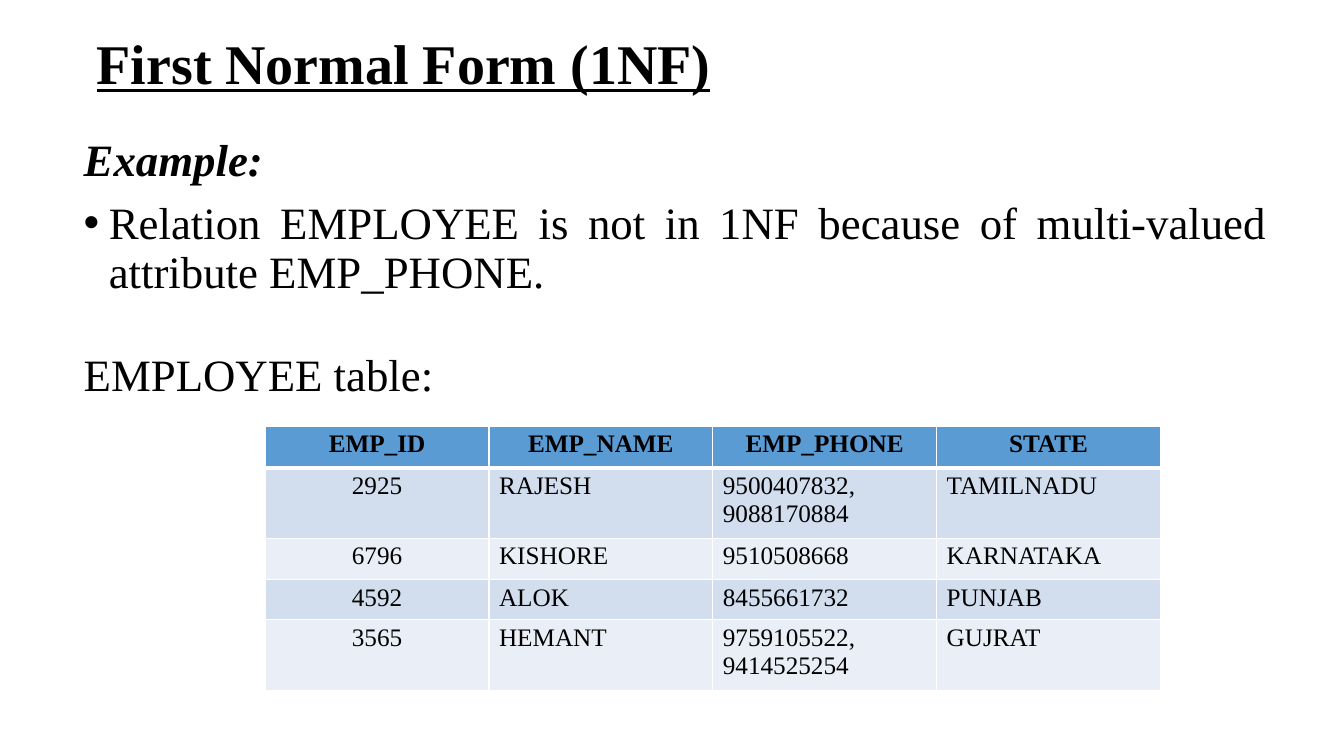
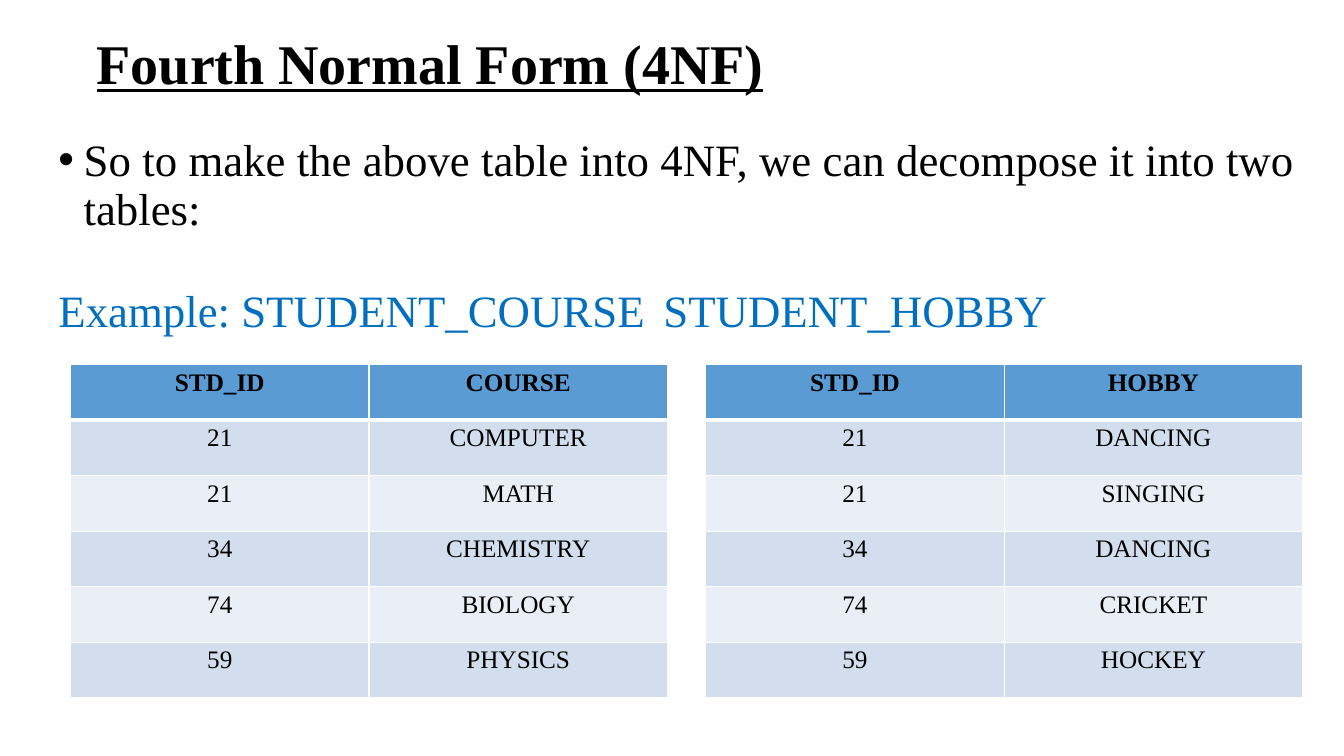
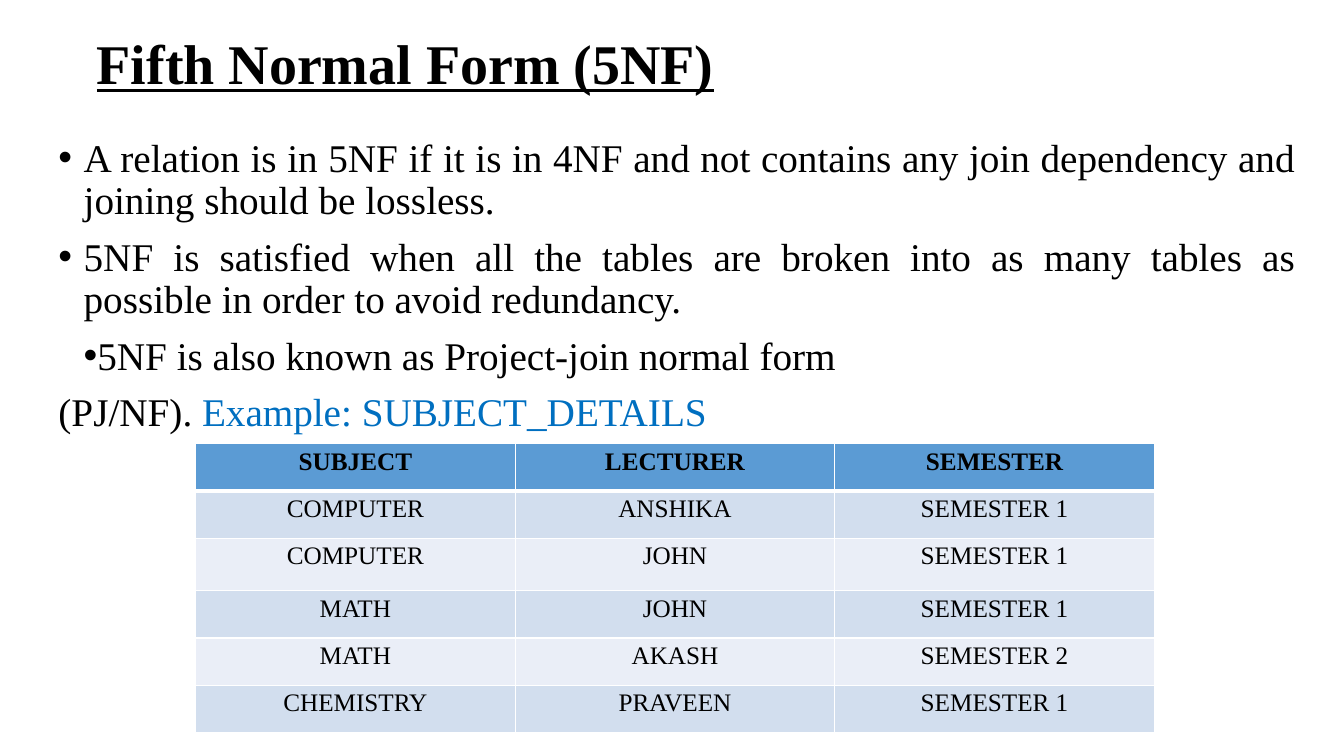
from dataclasses import dataclass

from lxml import etree
from pptx import Presentation
from pptx.dml.color import RGBColor
from pptx.enum.text import MSO_ANCHOR, MSO_AUTO_SIZE, PP_ALIGN
from pptx.oxml.ns import qn
from pptx.util import Inches, Pt

LEFT, CENTER, JUSTIFY = PP_ALIGN.LEFT, PP_ALIGN.CENTER, PP_ALIGN.JUSTIFY
TOP = MSO_ANCHOR.TOP
NO_AUTOFIT = MSO_AUTO_SIZE.NONE

FONT = "Times New Roman"
BLACK, BLUE, WHITE = "000000", "006FC0", "FFFFFF"
HEADER_FILL, ODD_FILL, EVEN_FILL = "5B9BD4", "D2DEEE", "EAEEF7"
TITLE_BOX = (0.95, 0.03, 11.43, 1.17)


@dataclass
class Run:
    text: str
    color: str = BLACK
    bold: bool = False
    italic: bool = False


@dataclass
class Para:
    runs: list[Run]
    before: float = 0
    line: float | None = None
    bullet: bool = False
    margin: float = 0.01
    indent: float = 0
    right: float = 0
    tab: float | None = None


@dataclass
class Body:
    box: tuple[float, float, float, float]
    top_inset: float
    size: int
    paras: list[Para]


@dataclass
class Grid:
    left: float
    top: float
    col_width: float
    row_heights: list[float]
    rows: list[list[str]]
    left_cols: tuple[int, ...] = ()


def rgb(color: str) -> RGBColor:
    return RGBColor.from_string(color)


def place(sp, box: tuple[float, float, float, float]) -> None:
    sp.left, sp.top, sp.width, sp.height = (Inches(v) for v in box)


def set_frame(tf, top_inset: float) -> None:
    tf.margin_left = tf.margin_right = tf.margin_bottom = 0
    tf.margin_top = Inches(top_inset)
    tf.vertical_anchor = TOP
    tf.word_wrap = True
    tf.auto_size = NO_AUTOFIT


def add_run(p, run: Run, size: int, underline: bool = False) -> None:
    r = p.add_run()
    r.text = run.text
    font = r.font
    font.name, font.size = FONT, Pt(size)
    font.bold, font.italic, font.underline = run.bold, run.italic, underline
    font.color.rgb = rgb(run.color)


def format_para(p, para: Para) -> None:
    pPr = p._p.get_or_add_pPr()
    pPr.set("marL", str(Inches(para.margin)))
    pPr.set("marR", str(Inches(para.right)))
    pPr.set("indent", str(Inches(para.indent)))
    if para.bullet:
        etree.SubElement(pPr, qn("a:buChar"), char="•")
    else:
        etree.SubElement(pPr, qn("a:buNone"))
    if para.tab:
        tabs = etree.SubElement(pPr, qn("a:tabLst"))
        etree.SubElement(tabs, qn("a:tab"), pos=str(Inches(para.tab)), algn="l")
    p.space_before = Pt(para.before)
    if para.line:
        p.line_spacing = Pt(para.line)
    p.alignment = JUSTIFY if para.bullet and not para.right else LEFT


def fill_body(sp, body: Body) -> None:
    place(sp, body.box)
    tf = sp.text_frame
    set_frame(tf, body.top_inset)
    for i, para in enumerate(body.paras):
        p = tf.add_paragraph() if i else tf.paragraphs[0]
        format_para(p, para)
        for run in para.runs:
            add_run(p, run, body.size)


def set_borders(cell, top: float, bottom: float) -> None:
    tcPr = cell._tc.get_or_add_tcPr()
    for side, width in (("L", 1), ("R", 1), ("T", top), ("B", bottom)):
        ln = etree.SubElement(tcPr, qn(f"a:ln{side}"), w=str(Pt(width)))
        fill = etree.SubElement(ln, qn("a:solidFill"))
        etree.SubElement(fill, qn("a:srgbClr"), val=WHITE)


def fill_cell(cell, text: str, row: int, align) -> None:
    set_borders(cell, 3 if row == 1 else 1, 3 if row == 0 else 1)
    cell.fill.solid()
    band = ODD_FILL if row % 2 else EVEN_FILL
    cell.fill.fore_color.rgb = rgb(band if row else HEADER_FILL)
    cell.margin_left = Inches(0.1 if align == LEFT else 0)
    cell.margin_right = cell.margin_bottom = 0
    cell.margin_top = Inches(0.04)
    cell.vertical_anchor = TOP
    tf = cell.text_frame
    for i, line in enumerate(text.split("\n")):
        p = tf.add_paragraph() if i else tf.paragraphs[0]
        p.alignment = align
        add_run(p, Run(line, bold=row == 0), 18)


def add_grid(s, grid: Grid) -> None:
    cols = len(grid.rows[0])
    table = s.shapes.add_table(
        len(grid.rows), cols, Inches(grid.left), Inches(grid.top),
        Inches(grid.col_width * cols), Inches(sum(grid.row_heights))).table
    for col in table.columns:
        col.width = Inches(grid.col_width)
    for i, (height, texts) in enumerate(zip(grid.row_heights, grid.rows)):
        table.rows[i].height = Inches(height)
        for j, text in enumerate(texts):
            align = LEFT if i and j in grid.left_cols else CENTER
            fill_cell(table.cell(i, j), text, i, align)


def add_slide(prs, layout, title: str, body: Body, grids: list[Grid]) -> None:
    s = prs.slides.add_slide(layout)
    p = s.shapes.title.text_frame.paragraphs[0]
    format_para(p, Para([]))
    add_run(p, Run(title, bold=True), 40, underline=True)
    fill_body(s.placeholders[1], body)
    for grid in grids:
        add_grid(s, grid)


def bullet(text: str, line: float, before: float = 0) -> Para:
    return Para([Run(text)], before, line, True, 0.26, -0.25)


def student_grid(left: float, heading: str, values: list[str]) -> Grid:
    ids = ["21", "21", "34", "74", "59"]
    rows = [["STD_ID", heading], *([i, v] for i, v in zip(ids, values))]
    return Grid(left, 3.62, 2.96, [0.55] * 6, rows)


def main() -> None:
    prs = Presentation()
    prs.slide_width, prs.slide_height = Inches(13.33), Inches(7.5)
    layout = prs.slide_layouts[1]
    place(layout.placeholders[0], TITLE_BOX)
    set_frame(layout.placeholders[0].text_frame, 0.25)

    add_slide(
        prs, layout, "First Normal Form (1NF)",
        Body((0.82, 1.21, 11.75, 2.77), 0.1, 32, [
            Para([Run("Example:", bold=True, italic=True)]),
            bullet("Relation EMPLOYEE is not in 1NF because of multi-valued "
                   "attribute EMP_PHONE.", 34.6, 10.4),
            Para([Run("EMPLOYEE table:")], 35.1),
        ]),
        [Grid(2.63, 4.23, 2.22, [0.41, 0.7, 0.41, 0.4, 0.7], [
            ["EMP_ID", "EMP_NAME", "EMP_PHONE", "STATE"],
            ["2925", "RAJESH", "9500407832,\n9088170884", "TAMILNADU"],
            ["6796", "KISHORE", "9510508668", "KARNATAKA"],
            ["4592", "ALOK", "8455661732", "PUNJAB"],
            ["3565", "HEMANT", "9759105522,\n9414525254", "GUJRAT"],
        ], left_cols=(1, 2, 3))])

    add_slide(
        prs, layout, "Fourth Normal Form (4NF)",
        Body((0.57, 1.29, 12.28, 2.07), 0.07, 32, [
            bullet("So to make the above table into 4NF, we can decompose it "
                   "into two tables:", 34.6),
            Para([Run("Example: STUDENT_COURSE\tSTUDENT_HOBBY", BLUE)],
                 35, tab=7.01),
        ]),
        [student_grid(0.7, "COURSE", ["COMPUTER", "MATH", "CHEMISTRY",
                                      "BIOLOGY", "PHYSICS"]),
         student_grid(7, "HOBBY", ["DANCING", "SINGING", "DANCING",
                                   "CRICKET", "HOCKEY"])])

    add_slide(
        prs, layout, "Fifth Normal Form (5NF)",
        Body((0.57, 1.3, 12.28, 3.01), 0.07, 28, [
            bullet("A relation is in 5NF if it is in 4NF and not contains any "
                   "join dependency and joining should be lossless.", 30.2),
            bullet("5NF is satisfied when all the tables are broken into as "
                   "many tables as possible in order to avoid redundancy.",
                   30.2, 10.2),
            Para([Run("5NF is also known as Project-join normal form (PJ/NF). "),
                  Run("Example: SUBJECT_DETAILS", BLUE)],
                 0.6, 40.2, True, indent=0.25, right=4.2),
        ]),
        [Grid(1.94, 4.4, 3.17, [0.47, 0.47, 0.52, 0.47, 0.47, 0.47], [
            ["SUBJECT", "LECTURER", "SEMESTER"],
            ["COMPUTER", "ANSHIKA", "SEMESTER 1"],
            ["COMPUTER", "JOHN", "SEMESTER 1"],
            ["MATH", "JOHN", "SEMESTER 1"],
            ["MATH", "AKASH", "SEMESTER 2"],
            ["CHEMISTRY", "PRAVEEN", "SEMESTER 1"],
        ])])

    prs.save("out.pptx")


if __name__ == "__main__":
    main()
